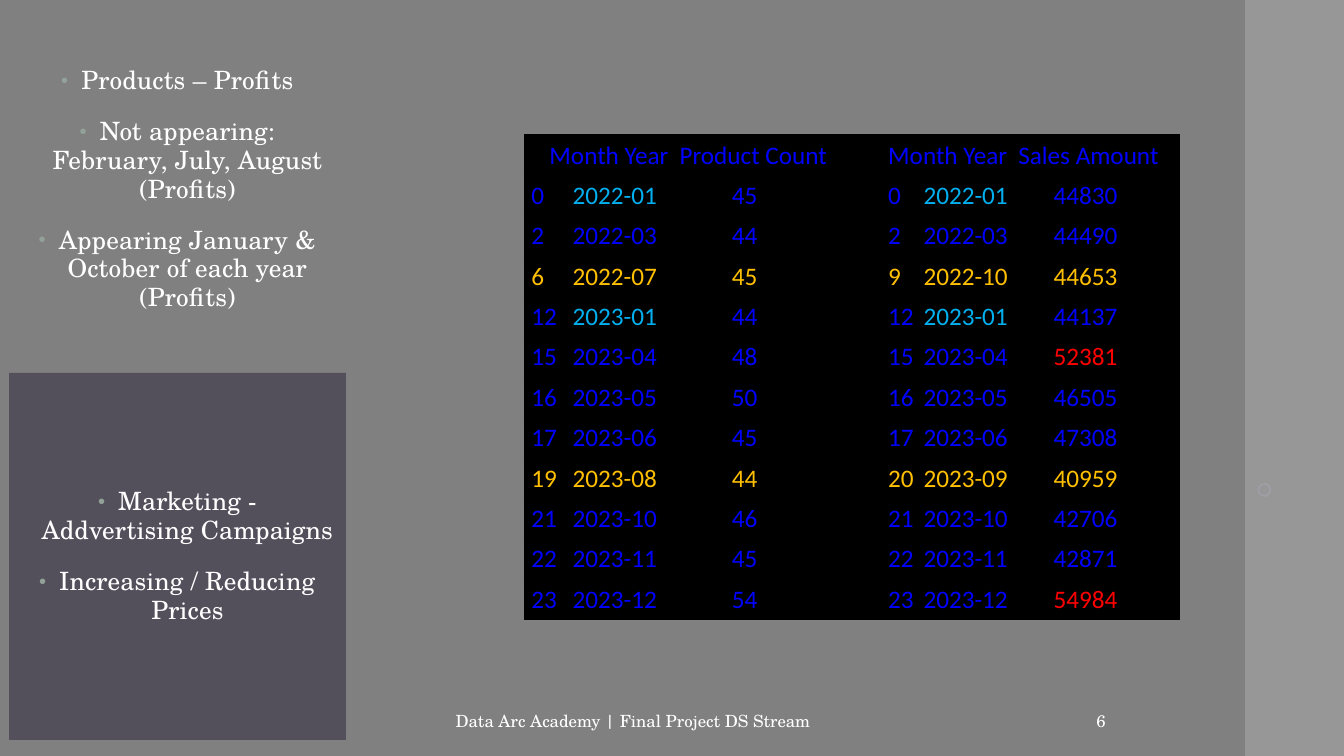
import pptx
import pptx.dml.color
import pptx.enum.shapes
import pptx.enum.text
import pptx.oxml
import pptx.oxml.ns
import pptx.util

SHAPES = pptx.enum.shapes.MSO_SHAPE
ALIGN = pptx.enum.text.PP_ALIGN
MIDDLE = pptx.enum.text.MSO_ANCHOR.MIDDLE
NAMESPACE = pptx.oxml.ns.nsdecls("a")
inch = pptx.util.Inches

SLIDE_WIDTH, SLIDE_HEIGHT = 13.33, 7.5
BODY_FONT, TABLE_FONT = "TeX Gyre Schola", "Calibri"
BLACK, WHITE, BLUE, SKY, GOLD, RED = "000000", "FFFFFF", "0000FF", "00B0F0", "FFC000", "FF0000"

FOOTER = "Data Arc Academy | Final Project DS Stream"
PAGE_NUMBER = "6"
PANELS = [
    ("808080", ["Products – Profits",
                "Not appearing: February, July, August (Profits)",
                "Appearing January & October of each year (Profits)"]),
    ("53505C", ["Marketing - Addvertising Campaigns",
                "Increasing / Reducing Prices"]),
]
PANEL_LEFT, PANEL_TOP, PANEL_WIDTH, PANEL_HEIGHT = 0.09, 0.06, 3.34, 3.64

PRODUCT_COUNTS = [
    (0, "2022-01", 45), (2, "2022-03", 44), (6, "2022-07", 45), (12, "2023-01", 44),
    (15, "2023-04", 48), (16, "2023-05", 50), (17, "2023-06", 45), (19, "2023-08", 44),
    (21, "2023-10", 46), (22, "2023-11", 45), (23, "2023-12", 54),
]
SALES_AMOUNTS = [
    (0, "2022-01", 44830), (2, "2022-03", 44490), (9, "2022-10", 44653), (12, "2023-01", 44137),
    (15, "2023-04", 52381), (16, "2023-05", 46505), (17, "2023-06", 47308), (20, "2023-09", 40959),
    (21, "2023-10", 42706), (22, "2023-11", 42871), (23, "2023-12", 54984),
]
TOP_SALES = 50000
# headings, their tab stops, records, their tab stops, column width
SERIES = [
    (["", "Month Year", "Product Count"], [0.18, 1.47], PRODUCT_COUNTS, [0.41, 1.99], 3.54),
    (["Month Year", "Sales Amount"], [1.29], SALES_AMOUNTS, [0.35, 1.64], 2.96),
]
TABLE_LEFT, TABLE_TOP, ROW_HEIGHT = 5.2, 1.34, 0.4


def rgb(color):
    return pptx.dml.color.RGBColor.from_string(color)


def xml(markup):
    """Parse one drawing element, adding the namespace to its opening tag."""
    tag = markup[1:].split(" ")[0].split(">")[0]
    return pptx.oxml.parse_xml(markup.replace(tag, f"{tag} {NAMESPACE}", 1))


def add_block(slide, kind, left, top, width, height, color, opacity=100):
    block = slide.shapes.add_shape(kind, inch(left), inch(top), inch(width), inch(height))
    block.shadow.inherit = False
    block.line.fill.background()
    block.fill.solid()
    block.fill.fore_color.rgb = rgb(color)
    if opacity < 100:
        tint = block.fill._xPr.find(".//" + pptx.oxml.ns.qn("a:srgbClr"))
        tint.append(xml(f'<a:alpha val="{opacity * 1000}"/>'))
    return block


def style_run(run, font, size, color):
    run.font.name, run.font.size = font, pptx.util.Pt(size)
    run.font.color.rgb = rgb(color)


def add_panel(slide, row, color, points):
    panel = add_block(slide, SHAPES.RECTANGLE, PANEL_LEFT, PANEL_TOP + row * PANEL_HEIGHT,
                      PANEL_WIDTH, PANEL_HEIGHT, color)
    frame = panel.text_frame
    frame.word_wrap, frame.vertical_anchor = True, MIDDLE
    frame.text = "\n".join(points)
    for number, paragraph in enumerate(frame.paragraphs):
        properties = paragraph._p.get_or_add_pPr()
        properties.set("marL", str(inch(0.2)))
        properties.set("indent", str(inch(-0.2)))
        for bullet in ('<a:buClr><a:srgbClr val="93A299"/></a:buClr>', '<a:buSzPct val="80000"/>',
                       '<a:buFont typeface="Arial"/>', '<a:buChar char="•"/>'):
            properties.append(xml(bullet))
        paragraph.alignment = ALIGN.CENTER
        paragraph.line_spacing = 0.95
        paragraph.space_before = pptx.util.Pt(14 if number else 0)
        paragraph.space_after = pptx.util.Pt(2)
        for run in paragraph.runs:
            style_run(run, BODY_FONT, 18, WHITE)
            run._r.get_or_add_rPr().set("spc", "10")


def add_caption(slide, left, width, text, alignment):
    caption = slide.shapes.add_textbox(inch(left), inch(6.95), inch(width), inch(0.4))
    frame = caption.text_frame
    frame.word_wrap, frame.vertical_anchor = True, MIDDLE
    frame.text = text
    frame.paragraphs[0].alignment = alignment
    style_run(frame.paragraphs[0].runs[0], BODY_FONT, 12, WHITE)


def record_colors(record, other_months):
    """Gold for a month the other series lacks, sky for January, red for top sales."""
    _, month, value = record
    base = BLUE if month in other_months else GOLD
    return [base, SKY if month.endswith("-01") else base, RED if value > TOP_SALES else base]


def fill_cell(cell, fields, colors, stops):
    cell.fill.solid()
    cell.fill.fore_color.rgb = rgb(BLACK)
    cell.margin_left = cell.margin_right = inch(0.07)
    cell.margin_top = cell.margin_bottom = inch(0.05)
    for place, side in enumerate(("lnL", "lnR", "lnT", "lnB")):
        cell._tc.get_or_add_tcPr().insert(place, xml(
            f'<a:{side} w="12700"><a:solidFill><a:srgbClr val="{BLACK}"/></a:solidFill></a:{side}>'))
    paragraph = cell.text_frame.paragraphs[0]
    tabs = "".join(f'<a:tab pos="{inch(stop)}" algn="l"/>' for stop in stops)
    paragraph._p.get_or_add_pPr().append(xml(f"<a:tabLst>{tabs}</a:tabLst>"))
    for number, (field, color) in enumerate(zip(fields, colors)):
        run = paragraph.add_run()
        run.text = f"\t{field}" if number else str(field)
        style_run(run, TABLE_FONT, 18, color)


def add_month_table(slide):
    rows = len(PRODUCT_COUNTS) + 1
    table = slide.shapes.add_table(
        rows, len(SERIES), inch(TABLE_LEFT), inch(TABLE_TOP),
        inch(sum(series[-1] for series in SERIES)), inch(rows * ROW_HEIGHT)).table
    table.first_row = table.horz_banding = False
    for column, (headings, heading_stops, records, stops, width) in enumerate(SERIES):
        table.columns[column].width = inch(width)
        other_months = {month for _, month, _ in SERIES[1 - column][2]}
        fill_cell(table.cell(0, column), headings, [BLUE] * len(headings), heading_stops)
        for row, record in enumerate(records, 1):
            fill_cell(table.cell(row, column), record, record_colors(record, other_months), stops)


def main():
    deck = pptx.Presentation()
    deck.slide_width, deck.slide_height = inch(SLIDE_WIDTH), inch(SLIDE_HEIGHT)
    slide = deck.slides.add_slide(deck.slide_layouts[6])
    slide.background.fill.solid()
    slide.background.fill.fore_color.rgb = rgb(BLACK)

    add_block(slide, SHAPES.RECTANGLE, SLIDE_WIDTH - 0.98, 0, 0.98, SLIDE_HEIGHT, "303030")
    add_block(slide, SHAPES.RECTANGLE, 0, 0, SLIDE_WIDTH, SLIDE_HEIGHT, WHITE, 50)
    ring = add_block(slide, SHAPES.DONUT, 12.47, 4.79, 0.14, 0.14, "A8A4B0", 49)
    ring.adjustments[0] = 0.15

    add_caption(slide, 4.42, 4.5, FOOTER, ALIGN.LEFT)
    add_caption(slide, 9.42, 3, PAGE_NUMBER, ALIGN.CENTER)
    for row, (color, points) in enumerate(PANELS):
        add_panel(slide, row, color, points)
    add_month_table(slide)
    deck.save("out.pptx")


if __name__ == "__main__":
    main()
